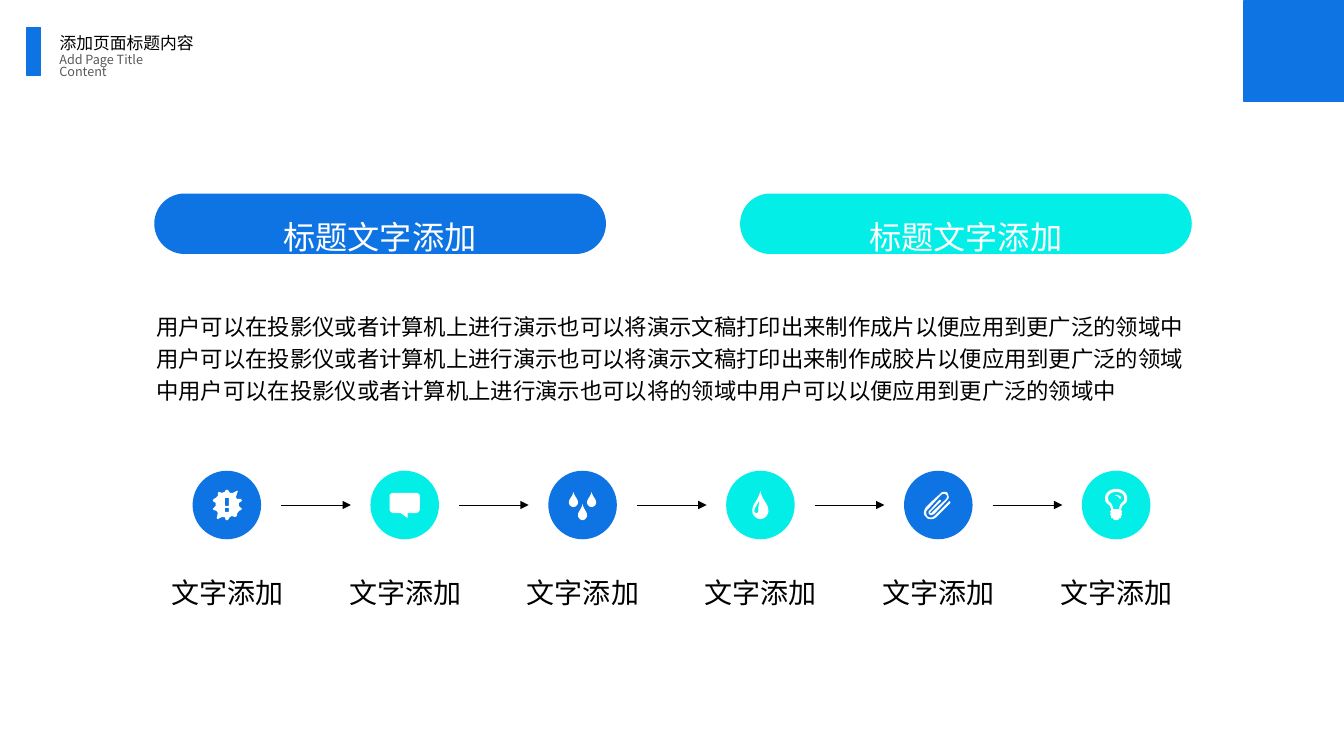
from lxml import etree
from pptx import Presentation
from pptx.dml.color import RGBColor
from pptx.enum.shapes import MSO_CONNECTOR, MSO_SHAPE
from pptx.enum.text import MSO_ANCHOR, PP_ALIGN
from pptx.oxml.ns import qn
from pptx.util import Inches, Pt

RECT, PILL, OVAL = MSO_SHAPE.RECTANGLE, MSO_SHAPE.ROUNDED_RECTANGLE, MSO_SHAPE.OVAL
STRAIGHT = MSO_CONNECTOR.STRAIGHT
LEFT, CENTER = PP_ALIGN.LEFT, PP_ALIGN.CENTER
TOP = MSO_ANCHOR.TOP

BLUE = RGBColor(0x0F, 0x74, 0xE3)
CYAN = RGBColor(0x04, 0xEE, 0xE8)
WHITE = RGBColor(0xFF, 0xFF, 0xFF)
BLACK = RGBColor(0x00, 0x00, 0x00)
GRAY = RGBColor(0x59, 0x59, 0x59)
FONT = "Noto Sans CJK SC"

BODY = ("用户可以在投影仪或者计算机上进行演示也可以将演示文稿打印出来制作成片以便应用到更广泛的领域中"
        "用户可以在投影仪或者计算机上进行演示也可以将演示文稿打印出来制作成胶片以便应用到更广泛的领域中"
        "用户可以在投影仪或者计算机上进行演示也可以将的领域中用户可以以便应用到更广泛的领域中")


# Icon outlines: hundredths of an inch from the circle centre.
# A pair is a line to a point, six numbers are a cubic curve.
def trace(segments, steps=8):
    points = [segments[0]]
    for seg in segments[1:]:
        if len(seg) == 2:
            points.append(seg)
            continue
        curve = (points[-1], seg[0:2], seg[2:4], seg[4:6])
        for i in range(1, steps + 1):
            t = i / steps
            weights = ((1 - t) ** 3, 3 * t * (1 - t) ** 2, 3 * t * t * (1 - t), t ** 3)
            points.append(tuple(sum(w * c[axis] for w, c in zip(weights, curve))
                                for axis in (0, 1)))
    return points


def symmetric(right_half):
    points = trace(right_half)
    return points + [(-x, y) for x, y in reversed(points)]


def drop(x, top, half_w, h):
    half = symmetric([(0, 0), (0.25 * half_w, 0.36 * h, half_w, 0.43 * h, half_w, 0.71 * h),
                      (half_w, 0.86 * h, 0.5 * half_w, h, 0, h)])
    return [(x + px, top + py) for px, py in half]


def bar(top, bottom):
    return [(-2, top), (2, top), (2, bottom), (-2, bottom)]


BURST = [
    [(15, 4), (12, 1), (12, -2), (15, -4), (14, -6), (10, -6), (9, -8), (11, -14),
     (10, -14), (6, -12), (3, -12), (1, -15), (-1, -15), (-2, -13), (-5, -12), (-8, -13),
     (-9, -12), (-9, -9), (-11, -7), (-13, -6), (-14, -4), (-11, -2), (-11, 1), (-14, 4),
     (-13, 5), (-10, 6), (-9, 8), (-10, 13), (-9, 14), (-5, 12), (-2, 12), (-1, 15),
     (1, 15), (3, 12), (5, 11), (8, 12), (10, 11), (10, 9), (12, 6), (14, 5)],
    bar(-7, 1), bar(3, 7)]
BUBBLE = [trace([
    (11, -12), (-11, -12), (-13, -12, -15, -11, -15, -9), (-15, 4),
    (-15, 6, -13, 8, -11, 8), (-4, 8), (3, 13), (3, 8), (11, 8),
    (13, 8, 15, 6, 15, 4), (15, -9), (15, -11, 13, -12, 11, -12)])]
DROPS = [drop(-9, -13, 4.5, 15), drop(9, -13, 4.5, 15), drop(0, -1, 4.5, 16)]
BIG_DROP = [drop(0, -14, 8, 28), trace([
    (-1, -3), (-2, 1, -2, 3, -2, 6), (-2, 7, -3, 8, -4, 8), (-5, 8, -6, 7, -6, 6),
    (-6, 3, -4, 1, -3, -1), (-2, -3)])]
CLIP = [trace([
    (-7, 14), (-9, 14, -11, 14, -12, 12), (-15, 10, -15, 6, -12, 2),
    (-10, 0, -2, -8, 2, -11), (3, -13, 5, -13, 7, -13), (9, -13, 10, -11, 10, -9),
    (11, -8, 10, -6, 9, -5), (-4, 9), (-4, 9, -6, 10, -7, 10), (-8, 10, -8, 10, -9, 9),
    (-10, 8, -10, 6, -8, 5), (1, -5), (2, -5), (3, -4, 3, -4, 2, -3), (-7, 6),
    (-8, 7, -8, 7, -8, 8), (-7, 8), (-7, 8, -6, 8, -6, 7), (8, -6),
    (8, -7, 9, -8, 9, -9), (8, -10, 7, -11, 6, -11), (5, -11, 4, -11, 3, -10),
    (-1, -6, -8, 2, -10, 4), (-13, 6, -12, 9, -11, 11), (-9, 13, -6, 13, -4, 11),
    (10, -3), (11, -4, 11, -4, 12, -3), (12, -2), (-2, 12), (-4, 14, -6, 14, -7, 14)])]
BULB = [
    symmetric([(0, -16), (6, -16, 11, -12, 11, -7), (11, -3, 10, -2, 7, 0),
               (6, 1, 5, 3, 5, 5), (6, 7), (5, 8), (6, 9), (5, 11), (5, 13), (3, 13),
               (3, 15, 1, 15, 0, 15)]),
    symmetric([(0, -13), (4, -13, 8, -11, 8, -7), (8, -4, 7, -3, 5, -2), (4, 0, 3, 2, 3, 4)]),
    trace([(0, -10), (3, -10, 5, -8, 5, -7), (4, -6), (3, -7), (3, -8, 1, -9, 0, -9), (-1, -9.5)])]


def write(tf, text, size, color, align=LEFT, spacing=None, wrap=True):
    tf.word_wrap = wrap
    tf.vertical_anchor = TOP
    p = tf.paragraphs[0]
    p.alignment = align
    if spacing:
        p.line_spacing = spacing
    r = p.add_run()
    r.text = text
    r.font.size = Pt(size)
    r.font.color.rgb = color
    r.font.name = FONT
    etree.SubElement(r.font._element, qn("a:ea")).set("typeface", FONT)


def add_text(s, x, y, w, h, *args, **kwargs):
    box = s.shapes.add_textbox(Inches(x), Inches(y), Inches(w), Inches(h))
    write(box.text_frame, *args, **kwargs)


def paint(sp, color):
    sp.shadow.inherit = False
    sp.fill.solid()
    sp.fill.fore_color.rgb = color
    sp.line.fill.background()


def add_block(s, kind, x, y, w, h, color):
    sp = s.shapes.add_shape(kind, Inches(x), Inches(y), Inches(w), Inches(h))
    paint(sp, color)
    return sp


def add_icon(s, cx, cy, contours):
    builder = None
    for contour in contours:
        points = [(Inches(px / 100), Inches(py / 100)) for px, py in contour]
        if builder is None:
            builder = s.shapes.build_freeform(*points[0], scale=1.0)
        else:
            builder.move_to(*points[0])
        builder.add_line_segments(points[1:], close=True)
    paint(builder.convert_to_shape(Inches(cx), Inches(cy)), WHITE)


def add_arrow(s, x, y, length):
    line = s.shapes.add_connector(STRAIGHT, Inches(x), Inches(y), Inches(x + length), Inches(y))
    line.line.color.rgb = BLACK
    line.line.width = Pt(0.25)
    etree.SubElement(line.line._get_or_add_ln(), qn("a:tailEnd")).set("type", "triangle")
    etree.SubElement(line._element.spPr, qn("a:effectLst"))


def add_header(s, x, y):
    # Title, subtitle and the two accent blocks
    title = s.shapes.title
    title.left, title.top = Inches(x + 0.22), Inches(y)
    title.width, title.height = Inches(1.55), Inches(0.3)
    write(title.text_frame, "添加页面标题内容", 12, BLACK, wrap=False)
    add_text(s, x + 0.22, y + 0.22, 1.51, 0.25, "Add Page Title Content", 9, GRAY, spacing=0.8)
    for box in ((x, y, 0.13, 0.48), (12.34, 0.01, 1, 1)):
        block = add_block(s, RECT, *box, BLUE)
        block.line.color.rgb = BLUE
        block.line.width = Pt(1)


def add_pill(s, x, y, w, h, color):
    sp = add_block(s, PILL, x, y, w, h, color)
    sp.adjustments[0] = 0.5
    tf = sp.text_frame
    tf.margin_top, tf.margin_bottom = Inches(0.07), 0
    write(tf, "标题文字添加", 23, WHITE, CENTER, 1.2)


def add_process(s, x, y, w):
    # Six icon circles with labels, joined by arrows
    icons = [BURST, BUBBLE, DROPS, BIG_DROP, CLIP, BULB]
    colors = [BLUE, CYAN, BLUE, CYAN, BLUE, CYAN]
    size = 0.68
    pitch = (w - size) / (len(icons) - 1)
    for i, (icon, color) in enumerate(zip(icons, colors)):
        cx, cy = x + size / 2 + i * pitch, y + size / 2
        add_block(s, OVAL, cx - size / 2, y, size, size, color)
        add_icon(s, cx, cy, icon)
        if i < len(icons) - 1:
            add_arrow(s, cx + 0.54, cy, 0.69)
        add_text(s, cx - 0.73, y + 0.92, 1.47, 0.48, "文字添加", 20, BLACK, CENTER, 1.2)


def main():
    prs = Presentation()
    prs.slide_width, prs.slide_height = Inches(13.33), Inches(7.5)
    s = prs.slides.add_slide(prs.slide_layouts[5])
    add_header(s, 0.27, 0.27)
    add_pill(s, 1.53, 1.92, 4.48, 0.6, BLUE)
    add_pill(s, 7.34, 1.92, 4.48, 0.6, CYAN)
    add_text(s, 1.45, 3, 10.48, 1.04, BODY, 16, BLACK, spacing=1.2)
    add_process(s, 1.91, 4.67, 9.5)
    prs.save("out.pptx")


if __name__ == "__main__":
    main()
